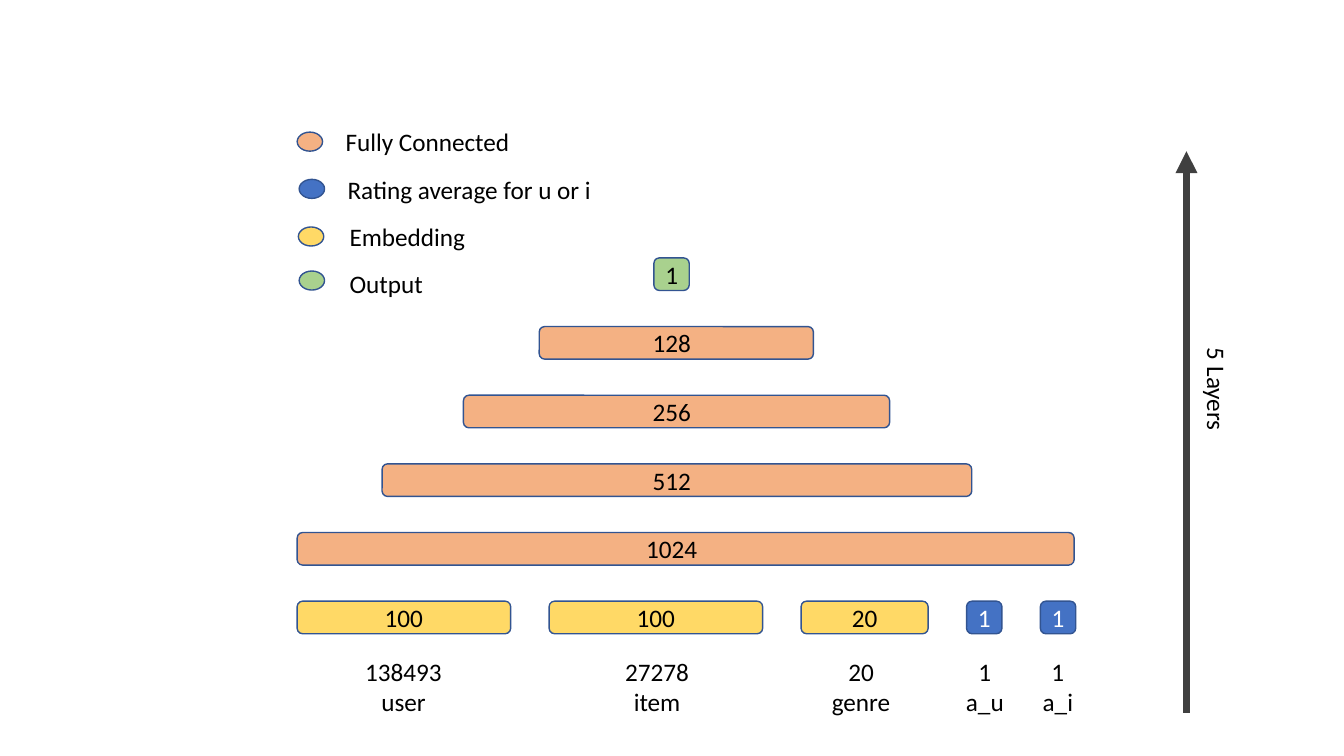
from lxml.etree import SubElement
from pptx import Presentation
from pptx.dml.color import RGBColor
from pptx.enum.shapes import MSO_CONNECTOR, MSO_SHAPE
from pptx.enum.text import MSO_ANCHOR, PP_ALIGN
from pptx.oxml.ns import qn
from pptx.util import Cm, Pt

ORANGE = RGBColor(0xF4, 0xB1, 0x83)
BLUE = RGBColor(0x44, 0x72, 0xC4)
YELLOW = RGBColor(0xFF, 0xD9, 0x66)
GREEN = RGBColor(0xA9, 0xD1, 0x8E)
OUTLINE = RGBColor(0x32, 0x54, 0x91)
GREY = RGBColor(0x40, 0x40, 0x40)
BLACK = RGBColor(0, 0, 0)
WHITE = RGBColor(0xFF, 0xFF, 0xFF)

# All lengths are in centimetres.
# Layers from the top: units, left, width, fill
LAYERS = [
    ("1", 16.48, 0.89, GREEN),
    ("128", 13.59, 6.91, ORANGE),
    ("256", 11.68, 10.74, ORANGE),
    ("512", 9.63, 14.86, ORANGE),
    ("1024", 7.49, 19.58, ORANGE),
]
# Inputs from the left: units, width, fill, text colour, caption, caption centre
INPUTS = [
    ("100", 5.38, YELLOW, BLACK, ["138493", "user"], 10.17),
    ("100", 5.38, YELLOW, BLACK, ["27278", "item"], 16.56),
    ("20", 3.2, YELLOW, BLACK, ["20", "genre"], 21.7),
    ("1", 0.89, BLUE, WHITE, ["1", "a_u"], 24.82),
    ("1", 0.89, BLUE, WHITE, ["1", "a_i"], 26.66),
]
# Legend: label, label left, label width, dot left, dot top, fill
LEGEND = [
    ("Fully Connected", 8.46, 4.7, 7.49, 3.33, ORANGE),
    ("Rating average for u or i", 8.51, 6.73, 7.54, 4.52, BLUE),
    ("Embedding", 8.56, 3.45, 7.52, 5.72, YELLOW),
    ("Output", 8.56, 2.39, 7.54, 6.83, GREEN),
]

FIRST_LAYER, LAYER_STEP, BAR_HEIGHT = 6.5, 1.73, 0.82
LAYER_CENTRE, LAYER_LABEL_WIDTH = 16.93, 1.8
INPUT_LEFT, INPUT_GAP = 7.49, 0.97
CAPTION_TOP, CAPTION_WIDTH, CAPTION_HEIGHT = 16.41, 2.5, 1.8
LEGEND_TOP, LEGEND_STEP = 3.07, 1.19
DOT_WIDTH, DOT_HEIGHT = 0.64, 0.48
LINE_HEIGHT = 1.02
ARROW_X, ARROW_BOTTOM, ARROW_TOP = 29.9, 17.96, 3.81


def write(frame, lines, align, color=BLACK):
    for number, line in enumerate(lines):
        para = frame.paragraphs[0] if number == 0 else frame.add_paragraph()
        para.alignment = align
        span = para.add_run()
        span.text = line
        span.font.name = "Calibri"
        span.font.size = Pt(18)
        span.font.color.rgb = color


def add_label(page, lines, left, top, width, height=LINE_HEIGHT, align=PP_ALIGN.CENTER):
    box = page.shapes.add_textbox(Cm(left), Cm(top), Cm(width), Cm(height))
    box.text_frame.word_wrap = False
    write(box.text_frame, lines, align)
    return box


def add_filled(page, kind, left, top, width, height, fill):
    shape = page.shapes.add_shape(kind, Cm(left), Cm(top), Cm(width), Cm(height))
    shape.shadow.inherit = False
    shape.fill.solid()
    shape.fill.fore_color.rgb = fill
    shape.line.color.rgb = OUTLINE
    shape.line.width = Pt(1)
    return shape


def add_layers(page):
    for row, (units, left, width, fill) in enumerate(LAYERS):
        top = FIRST_LAYER + row * LAYER_STEP
        add_filled(page, MSO_SHAPE.ROUNDED_RECTANGLE, left, top, width, BAR_HEIGHT, fill)
        add_label(page, [units], LAYER_CENTRE - LAYER_LABEL_WIDTH / 2,
                  top + (BAR_HEIGHT - LINE_HEIGHT) / 2, LAYER_LABEL_WIDTH)


def add_inputs(page):
    left = INPUT_LEFT
    top = FIRST_LAYER + len(LAYERS) * LAYER_STEP
    for units, width, fill, color, caption, centre in INPUTS:
        bar = add_filled(page, MSO_SHAPE.ROUNDED_RECTANGLE, left, top, width, BAR_HEIGHT, fill)
        frame = bar.text_frame
        frame.margin_left = frame.margin_right = frame.margin_top = frame.margin_bottom = 0
        frame.vertical_anchor = MSO_ANCHOR.MIDDLE
        write(frame, [units], PP_ALIGN.CENTER, color)
        add_label(page, caption, centre - CAPTION_WIDTH / 2, CAPTION_TOP,
                  CAPTION_WIDTH, CAPTION_HEIGHT)
        left += width + INPUT_GAP


def add_legend(page):
    for row, (label, left, width, dot_left, dot_top, fill) in enumerate(LEGEND):
        add_filled(page, MSO_SHAPE.OVAL, dot_left, dot_top, DOT_WIDTH, DOT_HEIGHT, fill)
        add_label(page, [label], left, LEGEND_TOP + row * LEGEND_STEP, width,
                  align=PP_ALIGN.LEFT)


def add_depth_arrow(page):
    arrow = page.shapes.add_connector(MSO_CONNECTOR.STRAIGHT, Cm(ARROW_X), Cm(ARROW_BOTTOM),
                                      Cm(ARROW_X), Cm(ARROW_TOP))
    arrow.line.color.rgb = GREY
    arrow.line.width = Pt(5.25)
    properties = arrow.element.spPr
    SubElement(properties.find(qn("a:ln")), qn("a:tailEnd"), type="triangle")
    SubElement(properties, qn("a:effectLst"))
    label = add_label(page, ["5 Layers"], 29.36, 9.32, 2.62, align=PP_ALIGN.LEFT)
    label.rotation = 90


def main():
    deck = Presentation()
    deck.slide_width, deck.slide_height = Cm(33.87), Cm(19.05)
    page = deck.slides.add_slide(deck.slide_layouts[6])
    add_inputs(page)
    add_layers(page)
    add_depth_arrow(page)
    add_legend(page)
    deck.save("out.pptx")


if __name__ == "__main__":
    main()
